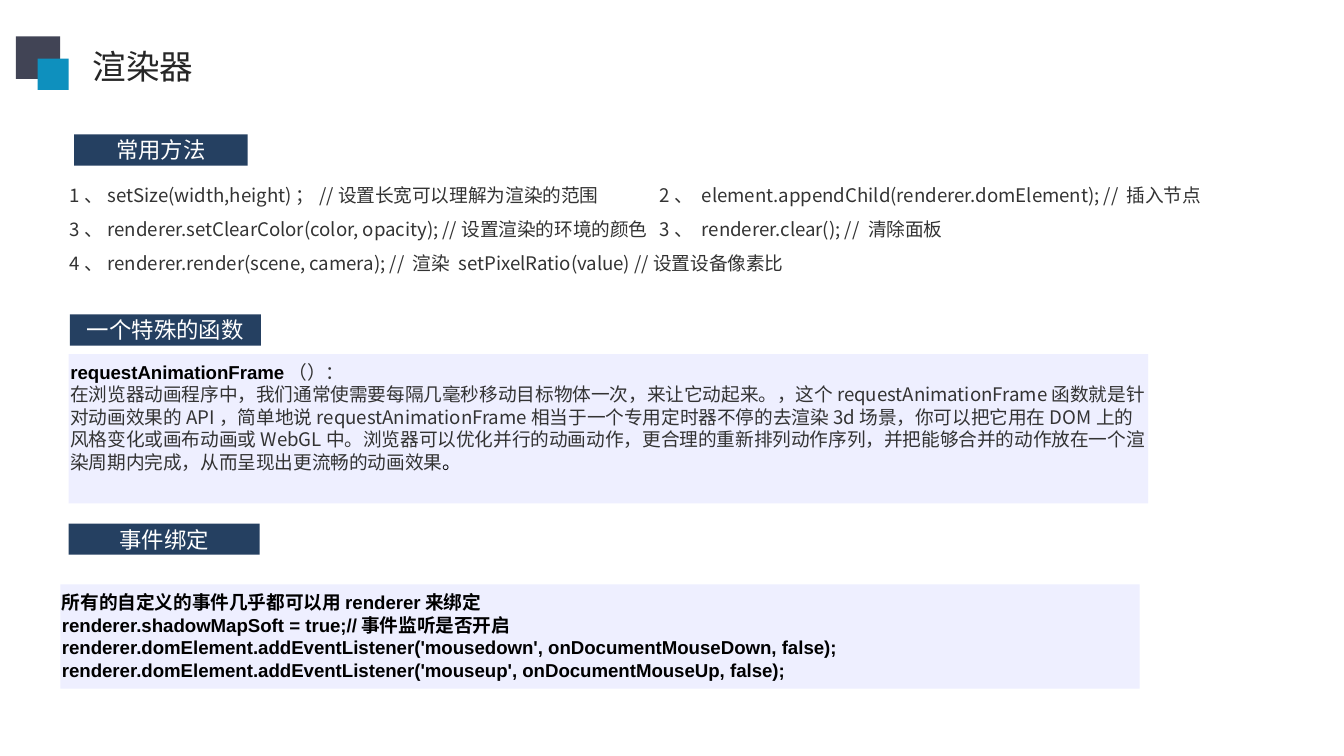
import pptx
import pptx.dml.color
import pptx.enum.shapes
import pptx.enum.text
import pptx.oxml
import pptx.oxml.ns
import pptx.util

Cm = pptx.util.Cm
Pt = pptx.util.Pt
ALIGN = pptx.enum.text.PP_ALIGN
ANCHOR = pptx.enum.text.MSO_ANCHOR

COLORS = {
    "title": "262626",
    "body": "333333",
    "code": "000000",
    "white": "FFFFFF",
    "label": "254061",
    "panel": "EEEFFF",
    "dark": "414455",
    "accent": "0E90BE",
}
SANS = "Noto Sans CJK SC"
CODE = dict(font="Arial", color="code")


def rgb(name):
    return pptx.dml.color.RGBColor.from_string(COLORS[name])


def add_run(p, text, size=10, font=SANS, color="body", bold=False):
    r = p.add_run()
    r.text = text
    r.font.size = Pt(size)
    r.font.name = font
    r.font.bold = bold
    r.font.color.rgb = rgb(color)


def add_tab_stop(p, pos):
    tabs = pptx.oxml.parse_xml(
        f'<a:tabLst {pptx.oxml.ns.nsdecls("a")}><a:tab pos="{pos}" algn="l"/></a:tabLst>'
    )
    p._p.get_or_add_pPr().append(tabs)


class SlideBuilder:
    def __init__(self, prs):
        self.s = prs.slides.add_slide(prs.slide_layouts[6])

    def rect(self, x, y, w, h, fill):
        sp = self.s.shapes.add_shape(
            pptx.enum.shapes.MSO_SHAPE.RECTANGLE, Cm(x), Cm(y), Cm(w), Cm(h)
        )
        sp.shadow.inherit = False
        sp.fill.solid()
        sp.fill.fore_color.rgb = rgb(fill)
        sp.line.fill.background()
        return sp

    def title(self, x, y, w, h, text):
        tf = self.s.shapes.add_textbox(Cm(x), Cm(y), Cm(w), Cm(h)).text_frame
        tf.word_wrap = False
        add_run(tf.paragraphs[0], text, size=18, color="title")

    def label(self, x, y, w, text):
        tf = self.rect(x, y, w, 0.59, "label").text_frame
        tf.vertical_anchor = ANCHOR.MIDDLE
        p = tf.paragraphs[0]
        p.alignment = ALIGN.CENTER
        add_run(p, text, size=12, font="Calibri", color="white")

    def panel(self, x, y, h, paragraphs):
        """Each paragraph is a list of (text, run format) pairs."""
        tf = self.rect(x, y, 20.4, h, "panel").text_frame
        tf.word_wrap = True
        tf.vertical_anchor = ANCHOR.TOP
        tf.margin_left = tf.margin_right = Cm(0.03)
        for i, runs in enumerate(paragraphs):
            p = tf.add_paragraph() if i else tf.paragraphs[0]
            p.alignment = ALIGN.LEFT
            for text, fmt in runs:
                add_run(p, text, **fmt)

    def method_list(self, x, y, w, h, lines, column):
        """Lines use a tab to reach the second column."""
        tf = self.s.shapes.add_textbox(Cm(x), Cm(y), Cm(w), Cm(h)).text_frame
        tf.word_wrap = True
        tf.margin_top = Cm(0.81)
        for i, line in enumerate(lines):
            p = tf.add_paragraph() if i else tf.paragraphs[0]
            p.line_spacing = 1.5
            add_tab_stop(p, Cm(column))
            add_run(p, line)


METHODS = [
    "1、setSize(width,height)；//设置长宽可以理解为渲染的范围\t"
    "2、 element.appendChild(renderer.domElement); // 插入节点",
    "3、renderer.setClearColor(color, opacity); //设置渲染的环境的颜色\t"
    "3、 renderer.clear(); // 清除面板",
    "4、renderer.render(scene, camera); // 渲染 setPixelRatio(value) //设置设备像素比",
]
ANIMATION = [
    [("requestAnimationFrame", dict(CODE, bold=True)), ("（）：", {})],
    [
        (
            "在浏览器动画程序中，我们通常使需要每隔几毫秒移动目标物体一次，来让它动起来。，"
            "这个requestAnimationFrame函数就是针对动画效果的API，"
            "简单地说requestAnimationFrame相当于一个专用定时器不停的去渲染3d场景，"
            "你可以把它用在DOM上的风格变化或画布动画或WebGL中。"
            "浏览器可以优化并行的动画动作，更合理的重新排列动作序列，"
            "并把能够合并的动作放在一个渲染周期内完成，从而呈现出更流畅的动画效果",
            {},
        ),
        ("。", CODE),
    ],
]
EVENTS = [
    "所有的自定义的事件几乎都可以用renderer来绑定",
    "renderer.shadowMapSoft = true;//事件监听是否开启",
    "renderer.domElement.addEventListener('mousedown', onDocumentMouseDown, false);",
    "renderer.domElement.addEventListener('mouseup', onDocumentMouseUp, false);",
]


def main():
    prs = pptx.Presentation()
    prs.slide_width = Cm(25.4)
    prs.slide_height = Cm(14.28)
    b = SlideBuilder(prs)

    b.title(1.5, 0.74, 2.44, 1.02, "渲染器")
    b.rect(0.3, 0.69, 0.84, 0.8, "dark")
    b.rect(0.71, 1.11, 0.59, 0.59, "accent")

    b.label(1.32, 5.94, 3.61, "一个特殊的函数")
    b.panel(1.3, 6.69, 2.82, ANIMATION)

    b.label(1.3, 9.89, 3.61, "事件绑定")
    b.panel(1.14, 11.04, 1.97, [[(line, dict(CODE, bold=True))] for line in EVENTS])

    b.label(1.4, 2.54, 3.28, "常用方法")
    b.method_list(1.07, 2.46, 22.05, 3.78, METHODS, column=11.15)

    prs.save("out.pptx")


if __name__ == "__main__":
    main()
